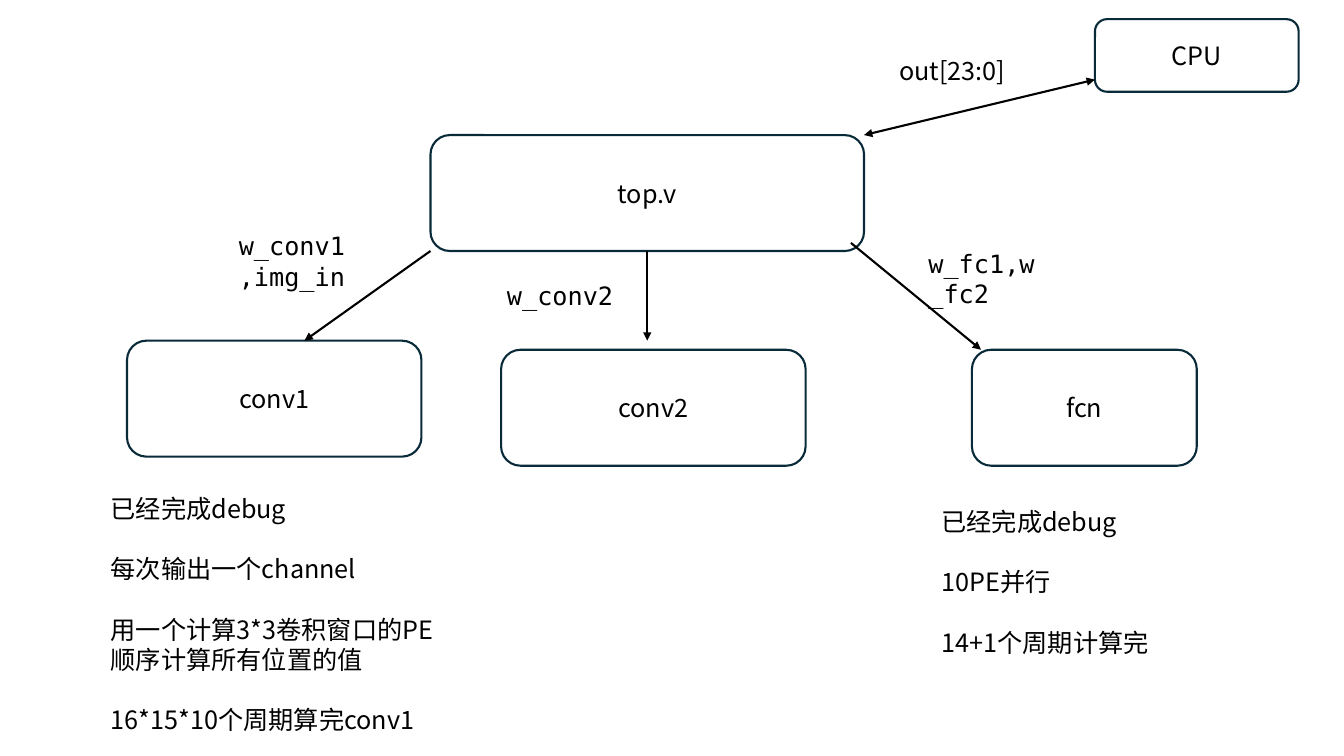
"""Block diagram of the top.v accelerator, its three layers and the CPU."""
import pptx
import pptx.dml.color
import pptx.enum.shapes
import pptx.enum.text
import pptx.oxml
import pptx.oxml.ns
import pptx.util
from pptx.util import Inches

COLORS = {"fill": "FFFFFF", "border": "092A39", "ink": "000000"}
SANS = "Noto Sans CJK SC"
MONO = "DejaVu Sans Mono"


def color(name):
    return pptx.dml.color.RGBColor.from_string(COLORS[name])


def format_text(frame, font_name):
    frame.word_wrap = True
    for paragraph in frame.paragraphs:
        for run in paragraph.runs:
            run.font.size = pptx.util.Pt(18)
            run.font.name = font_name
            run.font.color.rgb = color("ink")
            east_asian = pptx.oxml.parse_xml(
                f'<a:ea {pptx.oxml.ns.nsdecls("a")} typeface="{font_name}"/>')
            run.font._element.find(pptx.oxml.ns.qn("a:latin")).addnext(east_asian)


presentation = pptx.Presentation()
presentation.slide_width = Inches(13.33)
presentation.slide_height = Inches(7.5)
slide = presentation.slides.add_slide(presentation.slide_layouts[6])

modules = {}
for name, left, top, width, height in [
    ("top.v", 4.27, 1.34, 4.3, 1.15),
    ("conv1", 1.26, 3.38, 2.92, 1.15),
    ("conv2", 4.97, 3.47, 3.02, 1.15),
    ("fcn", 9.64, 3.47, 2.23, 1.15),
    ("CPU", 10.86, 0.19, 2.02, 0.72),
]:
    module = slide.shapes.add_shape(
        pptx.enum.shapes.MSO_SHAPE.ROUNDED_RECTANGLE,
        Inches(left), Inches(top), Inches(width), Inches(height))
    module.shadow.inherit = False
    module.fill.solid()
    module.fill.fore_color.rgb = color("fill")
    module.line.color.rgb = color("border")
    module.line.width = pptx.util.Pt(1.5)
    module.text_frame.text = name
    module.text_frame.vertical_anchor = pptx.enum.text.MSO_ANCHOR.MIDDLE
    module.text_frame.paragraphs[0].alignment = pptx.enum.text.PP_ALIGN.CENTER
    format_text(module.text_frame, SANS)
    modules[name] = module

signals = {}
for target, x1, y1, x2, y2, arrow_ends in [
    ("conv1", 4.27, 2.49, 3.02, 3.38, ["tailEnd"]),
    ("conv2", 6.42, 2.49, 6.42, 3.38, ["tailEnd"]),
    ("fcn", 8.44, 2.41, 9.73, 3.47, ["tailEnd"]),
    ("CPU", 8.57, 1.34, 10.86, 0.79, ["headEnd", "tailEnd"]),
]:
    signal = slide.shapes.add_connector(
        pptx.enum.shapes.MSO_CONNECTOR.STRAIGHT,
        Inches(x1), Inches(y1), Inches(x2), Inches(y2))
    signal.line.color.rgb = color("ink")
    signal.line.width = pptx.util.Pt(1.5)
    for arrow_end in arrow_ends:
        signal.line._get_or_add_ln().append(pptx.oxml.parse_xml(
            f'<a:{arrow_end} {pptx.oxml.ns.nsdecls("a")} type="triangle"/>'))
    signal._element.spPr.append(pptx.oxml.parse_xml(
        f'<a:effectLst {pptx.oxml.ns.nsdecls("a")}/>'))
    signals[target] = signal
signals["conv2"].begin_connect(modules["top.v"], 2)

conv1_notes = ["已经完成debug", "每次输出一个channel",
               "用一个计算3*3卷积窗口的PE顺序计算所有位置的值",
               "16*15*10个周期算完conv1"]
fcn_notes = ["已经完成debug", "10PE并行", "14+1个周期计算完"]

for lines, left, top, width, height, font_name in [
    (["w_conv1,img_in"], 2.27, 2.24, 1.26, 0.71, MONO),
    (["w_conv2"], 4.93, 2.73, 1.26, 0.4, MONO),
    (["w_fc1,w_fc2"], 9.11, 2.41, 1.26, 0.71, MONO),
    (["out[23:0]"], 8.82, 0.5, 1.47, 0.4, SANS),
    (conv1_notes, 1, 4.84, 3.47, 2.52, SANS),
    (fcn_notes, 9.24, 4.97, 3.47, 1.62, SANS),
]:
    label = slide.shapes.add_textbox(
        Inches(left), Inches(top), Inches(width), Inches(height))
    label.text_frame.text = "\n".join(lines)
    label.text_frame.auto_size = pptx.enum.text.MSO_AUTO_SIZE.SHAPE_TO_FIT_TEXT
    for paragraph in label.text_frame.paragraphs[1:]:
        paragraph.space_before = pptx.util.Pt(21.6)
    format_text(label.text_frame, font_name)

presentation.save("out.pptx")
